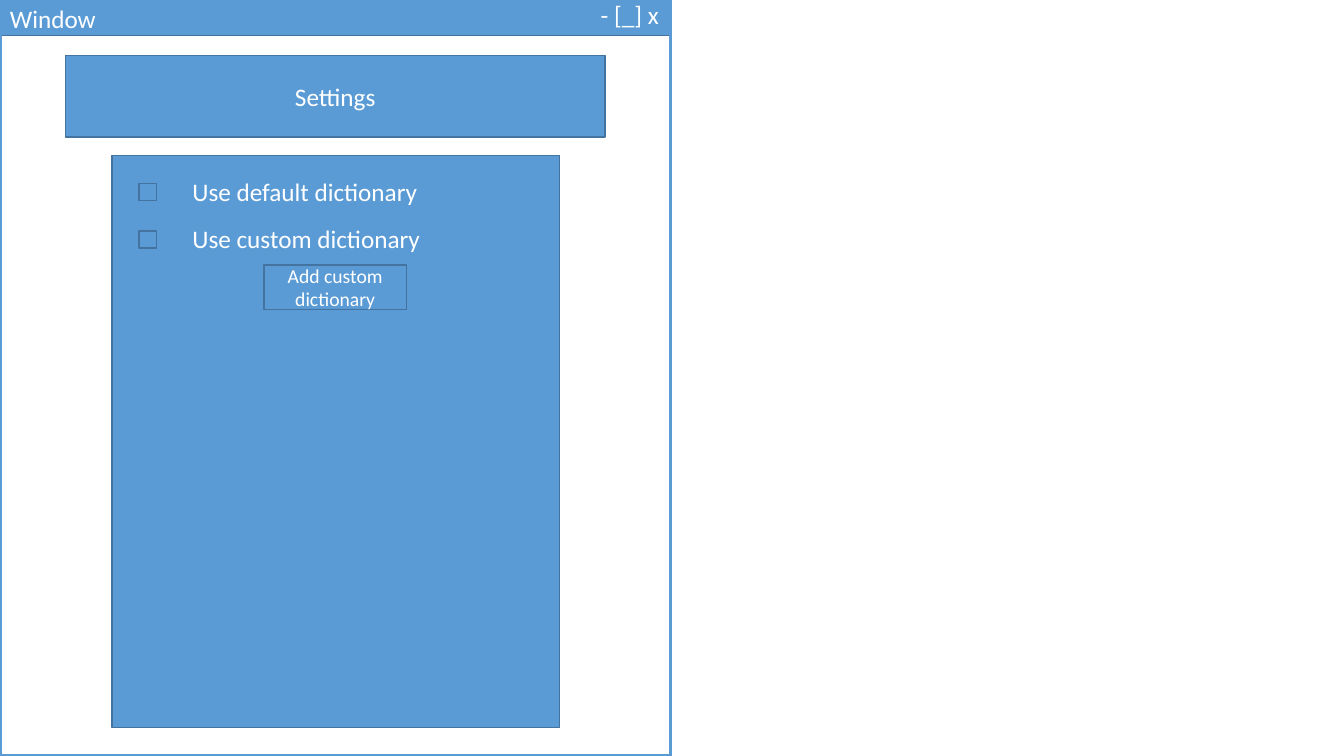
import pptx
import pptx.dml.color
import pptx.enum.shapes
import pptx.enum.text
import pptx.util
from pptx.util import Inches

BLUE = pptx.dml.color.RGBColor(0x5B, 0x9B, 0xD5)
DARK_BLUE = pptx.dml.color.RGBColor(0x43, 0x73, 0x9E)
WHITE = pptx.dml.color.RGBColor(0xFF, 0xFF, 0xFF)
FONT = "Calibri"

# Lengths in inches: left, top, width, height
WINDOW = (0, -0.02, 6.65, 7.52)
TITLE_BAR = (0, -0.01, 6.65, 0.36)
TITLE_BAR_LABELS = [
    ("Window", (0, -0.02, 1.31, 0.4)),
    ("- [_] x", (5.86, -0.06, 0.83, 0.4)),
]
HEADER = ("Settings", (0.65, 0.55, 5.35, 0.81))
PANEL = (1.11, 1.54, 4.44, 5.68)
OPTIONS = ["Use default dictionary", "Use custom dictionary"]
OPTION_TOP = 1.7
OPTION_STEP = 0.47
CHECKBOX_LEFT = 1.38
CHECKBOX_SIZE = 0.17
CHECKBOX_DROP = 0.12
BUTTON = ("Add custom dictionary", (2.62, 2.63, 1.41, 0.44))


def write_text(shape, text, size):
    """Put white text of the given point size into a shape."""
    shape.text_frame.word_wrap = True
    shape.text_frame.text = text
    for run in shape.text_frame.paragraphs[0].runs:
        run.font.name = FONT
        run.font.size = pptx.util.Pt(size)
        run.font.color.rgb = WHITE


def add_box(slide, place, text="", size=18):
    """Add a blue rectangle, with centred text if any is given."""
    shape = slide.shapes.add_shape(
        pptx.enum.shapes.MSO_SHAPE.RECTANGLE, *map(Inches, place))
    shape.shadow.inherit = False
    shape.fill.solid()
    shape.fill.fore_color.rgb = BLUE
    shape.line.color.rgb = DARK_BLUE
    shape.line.width = pptx.util.Pt(1)
    if text:
        write_text(shape, text, size)
        shape.text_frame.vertical_anchor = pptx.enum.text.MSO_ANCHOR.MIDDLE
        shape.text_frame.paragraphs[0].alignment = pptx.enum.text.PP_ALIGN.CENTER
    return shape


def add_label(slide, text, place):
    """Add a left-aligned text box that grows with its text."""
    label = slide.shapes.add_textbox(*map(Inches, place))
    write_text(label, text, 18)
    label.text_frame.auto_size = pptx.enum.text.MSO_AUTO_SIZE.SHAPE_TO_FIT_TEXT


def add_window_frame(slide):
    """Add the unfilled outline of the window."""
    frame = add_box(slide, WINDOW)
    frame.fill.background()
    frame.line.color.rgb = BLUE
    frame.line.width = pptx.util.Pt(2.25)


def add_option(slide, text, top):
    """Add a checkbox with its label."""
    add_box(slide, (CHECKBOX_LEFT, top + CHECKBOX_DROP,
                    CHECKBOX_SIZE, CHECKBOX_SIZE))
    add_label(slide, text, (1.81, top, 3.44, 0.4))


presentation = pptx.Presentation()
presentation.slide_width = Inches(13.33)
presentation.slide_height = Inches(7.5)
slide = presentation.slides.add_slide(presentation.slide_layouts[6])

add_box(slide, TITLE_BAR)
for label_text, label_place in TITLE_BAR_LABELS:
    add_label(slide, label_text, label_place)
add_box(slide, HEADER[1], HEADER[0])
add_box(slide, PANEL)
add_window_frame(slide)
for index, option in enumerate(OPTIONS):
    add_option(slide, option, OPTION_TOP + index * OPTION_STEP)
add_box(slide, BUTTON[1], BUTTON[0], size=14)

presentation.save("out.pptx")
